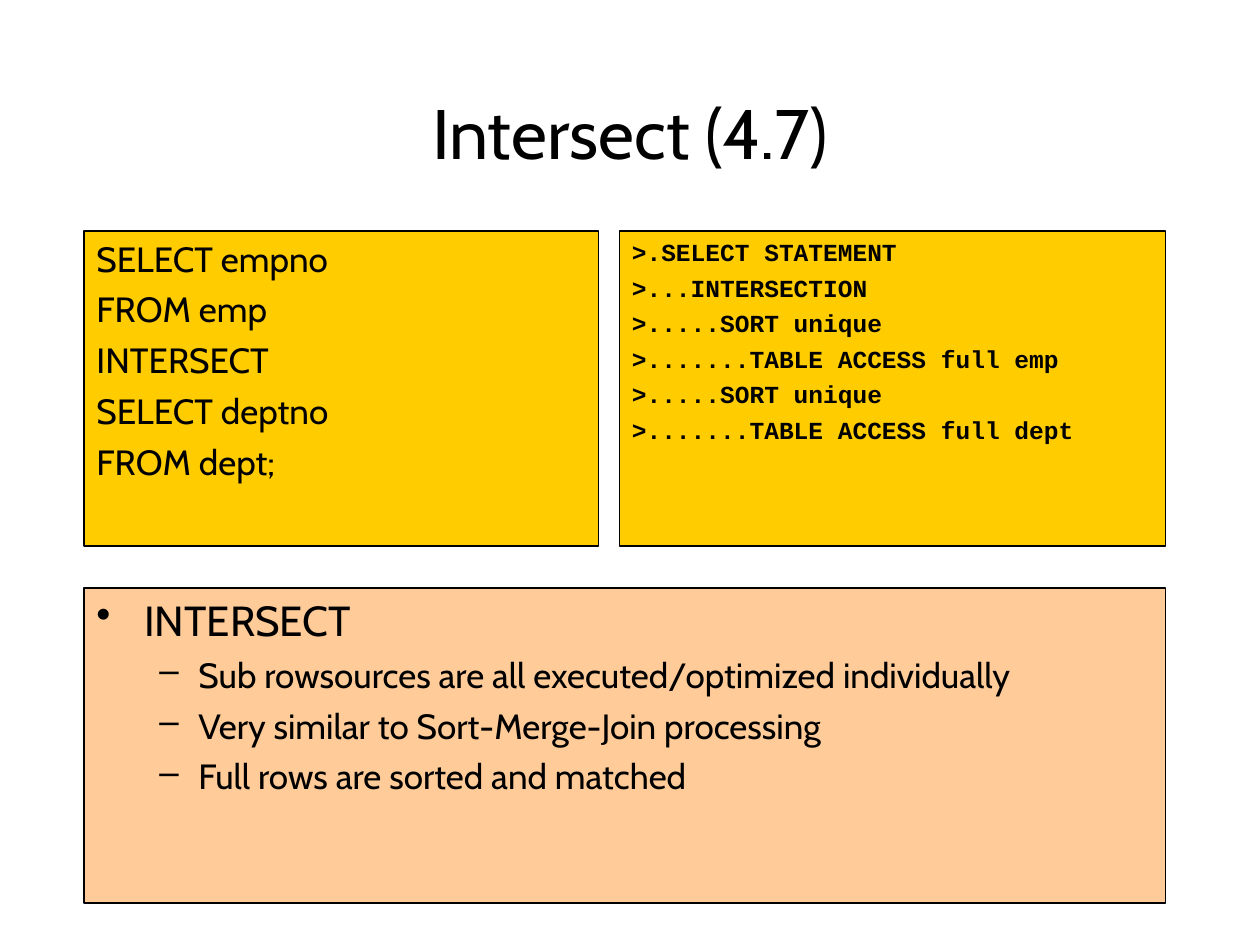
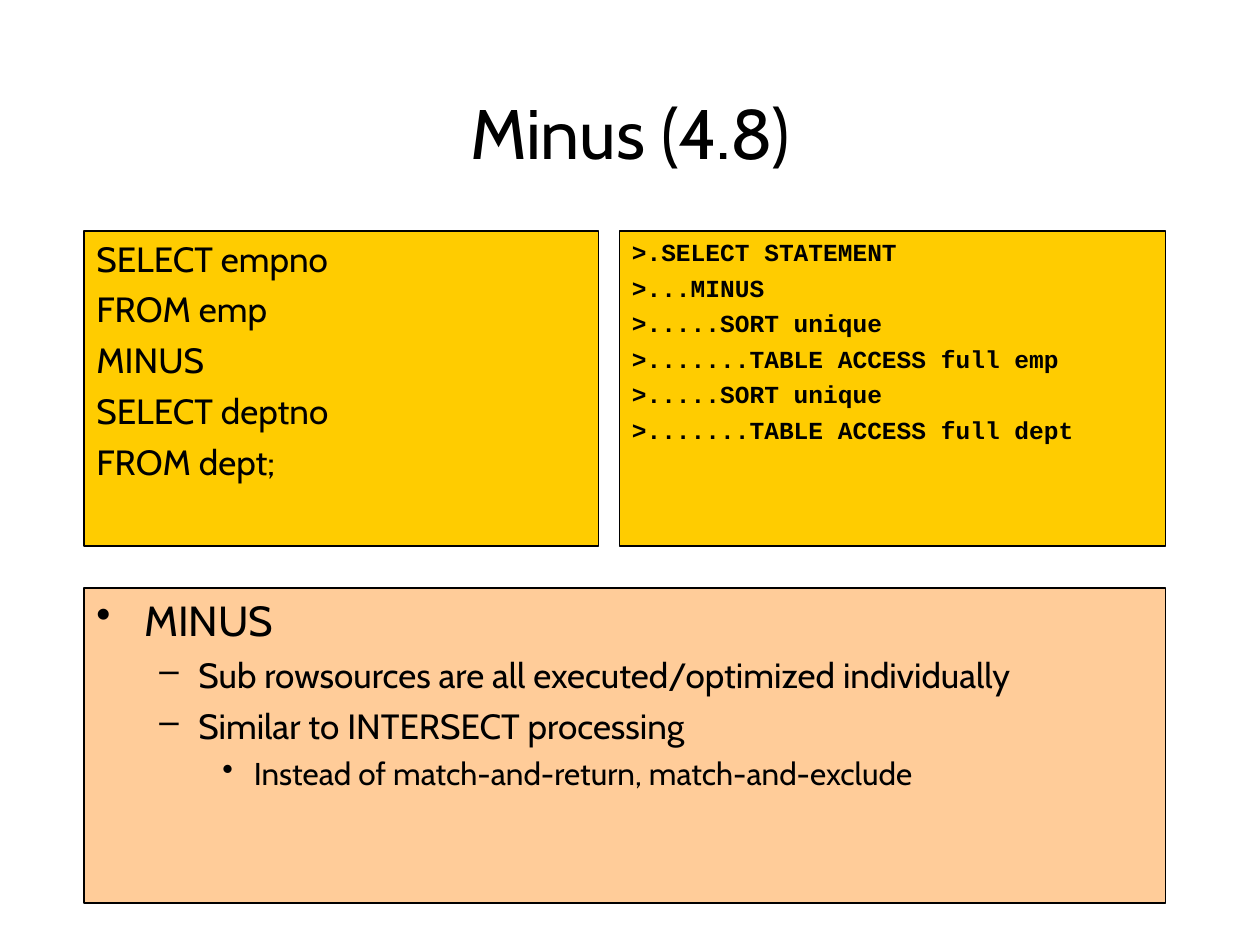
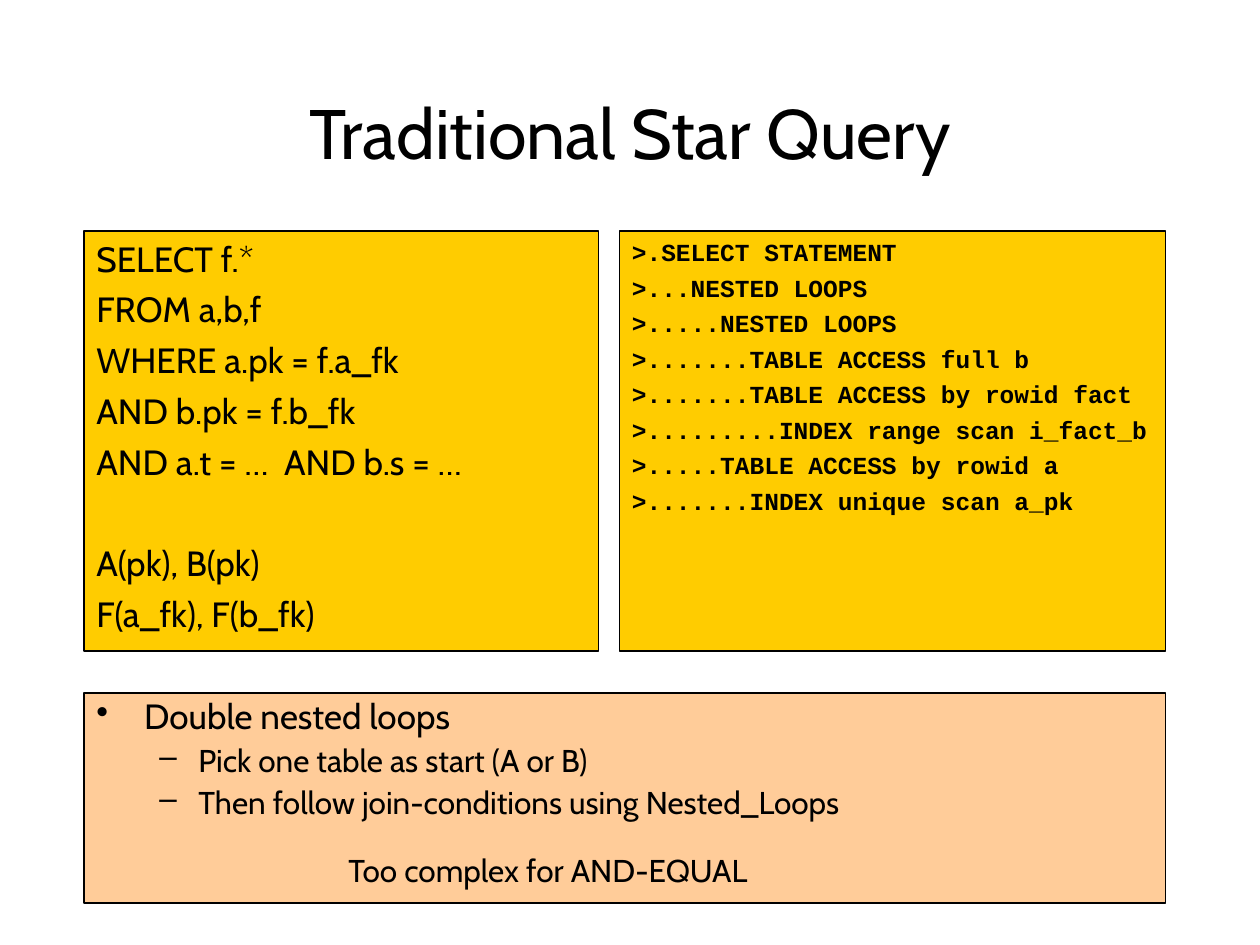
"""Build three slides on SQL row source plans, each with a query, its plan and notes."""
import pptx
import pptx.util
import pptx.dml.color
import pptx.enum.shapes
import pptx.enum.text
import pptx.oxml.ns
import lxml.etree

Pt = pptx.util.Pt
Inches = pptx.util.Inches
RGB = pptx.dml.color.RGBColor.from_string
Align = pptx.enum.text.PP_ALIGN
Anchor = pptx.enum.text.MSO_ANCHOR

SLIDES = [
    {
        "title": "Intersect (4.7)",
        "rows": 30,
        "query": ["SELECT empno", "FROM emp", "INTERSECT", "SELECT deptno", "FROM dept;"],
        "plan": [
            ">.SELECT STATEMENT",
            ">...INTERSECTION",
            ">.....SORT unique",
            ">.......TABLE ACCESS full emp",
            ">.....SORT unique",
            ">.......TABLE ACCESS full dept",
        ],
        "notes": [
            ("dot", "INTERSECT"),
            ("dash", "Sub rowsources are all executed/optimized individually"),
            ("dash", "Very similar to Sort-Merge-Join processing"),
            ("dash", "Full rows are sorted and matched"),
        ],
        "scale": "large",
    },
    {
        "title": "Minus (4.8)",
        "rows": 30,
        "query": ["SELECT empno", "FROM emp", "MINUS", "SELECT deptno", "FROM dept;"],
        "plan": [
            ">.SELECT STATEMENT",
            ">...MINUS",
            ">.....SORT unique",
            ">.......TABLE ACCESS full emp",
            ">.....SORT unique",
            ">.......TABLE ACCESS full dept",
        ],
        "notes": [
            ("dot", "MINUS"),
            ("dash", "Sub rowsources are all executed/optimized individually"),
            ("dash", "Similar to INTERSECT processing"),
            ("sub", "Instead of match-and-return, match-and-exclude"),
        ],
        "scale": "large",
    },
    {
        "title": "Traditional Star Query",
        "rows": 40,
        "query": [
            "SELECT f.*",
            "FROM a,b,f",
            "WHERE a.pk = f.a_fk",
            "AND b.pk = f.b_fk",
            "AND a.t = …  AND b.s = …",
            ("part", "A(pk), B(pk)"),
            "F(a_fk), F(b_fk)",
        ],
        "plan": [
            ">.SELECT STATEMENT",
            ">...NESTED LOOPS",
            ">.....NESTED LOOPS",
            ">.......TABLE ACCESS full b",
            ">.......TABLE ACCESS by rowid fact",
            ">.........INDEX range scan i_fact_b",
            ">.....TABLE ACCESS by rowid a",
            ">.......INDEX unique scan a_pk",
        ],
        "notes": [
            ("dot", "Double nested loops"),
            ("dash", "Pick one table as start (A or B)"),
            ("dash", "Then follow join-conditions using Nested_Loops"),
            ("aside", "Too complex for AND-EQUAL"),
        ],
        "scale": "small",
    },
]

THEME = {
    "ink": "000000",
    "code": "FFCC00",
    "note": "FFCC99",
    "title": {"name": "Cabin", "size": Pt(40), "bold": False},
    "query": {"name": "Cabin", "size": Pt(20), "bold": False},
    "plan": {"name": "Courier New", "size": Pt(14), "bold": True},
    "large": {"sizes": [24, 20, 18], "pitch": 1.0},
    "small": {"sizes": [20, 18, 18], "pitch": 0.9},
    "lead": 0.25,
}

# kind: level, left margin, first-line indent, bullet, own space before
KINDS = {
    "line": (0, 0.38, -0.38, None, None),
    "part": (0, 0.38, -0.38, None, 34),
    "dot": (0, 0.38, -0.38, "•", None),
    "dash": (1, 0.81, -0.31, "–", None),
    "sub": (2, 1.25, -0.25, "•", None),
    "aside": (1, 2.0, 0, None, 19.5),
}

UNIT = Inches(1) / 12
LEFT, TOP, WIDE, FOOT = 8, 22, 103, 86
QUERY, GAP, SPLIT = 49, 2, 4
HEAD = (9, 8, 102, 9)


def put(obj, vals):
    """Set each named attribute of an object."""
    for key, val in vals.items():
        setattr(obj, key, val)


def place(cells):
    """Turn grid cells into lengths."""
    return [round(cell * UNIT) for cell in cells]


def write(para, text, style):
    """Add one styled run to a paragraph."""
    run = para.add_run()
    run.text = text
    put(run.font, style)
    run.font.color.rgb = RGB(THEME["ink"])


def mark(para, margin, indent, sign):
    """Set the indents and the bullet of a paragraph."""
    props = para._p.get_or_add_pPr()
    props.set("marL", str(Inches(margin)))
    props.set("indent", str(Inches(indent)))
    name = "a:buChar" if sign else "a:buNone"
    node = lxml.etree.SubElement(props, pptx.oxml.ns.qn(name))
    if sign:
        node.set("char", sign)


def panel(slide, cells, fill, items, pick, pitch=1.0):
    """Draw a framed box and fill it with paragraphs."""
    box = slide.shapes.add_shape(pptx.enum.shapes.MSO_SHAPE.RECTANGLE, *place(cells))
    box.shadow.inherit = False
    box.fill.solid()
    box.fill.fore_color.rgb = RGB(fill)
    box.line.color.rgb = RGB(THEME["ink"])
    box.line.width = Pt(0.75)
    frame = box.text_frame
    put(frame, {"word_wrap": True, "vertical_anchor": Anchor.TOP})
    for pos, item in enumerate(items):
        kind, text = ("line", item) if isinstance(item, str) else item
        level, margin, indent, sign, lead = KINDS[kind]
        style = pick(level)
        para = frame.add_paragraph() if pos else frame.paragraphs[0]
        mark(para, margin, indent, sign)
        gap = lead or style["size"].pt * THEME["lead"]
        put(para, {
            "alignment": Align.LEFT,
            "level": level,
            "line_spacing": pitch,
            "space_before": Pt(gap if pos else 0),
        })
        write(para, text, style)


def head(slide, text):
    """Place and format the slide title."""
    title = slide.shapes.title
    put(title, dict(zip(("left", "top", "width", "height"), place(HEAD))))
    put(title.text_frame, {"word_wrap": True, "vertical_anchor": Anchor.MIDDLE})
    para = title.text_frame.paragraphs[0]
    para.alignment = Align.CENTER
    write(para, text, THEME["title"])


def build(deck, data):
    """Add one slide: title, notes, plan and query."""
    slide = deck.slides.add_slide(deck.slide_layouts[5])
    head(slide, data["title"])
    rows, scale = data["rows"], THEME[data["scale"]]
    base = TOP + rows + SPLIT
    start = LEFT + QUERY + GAP
    panel(slide, (LEFT, base, WIDE, FOOT - base), THEME["note"], data["notes"],
          lambda level: {**THEME["query"], "size": Pt(scale["sizes"][level])}, scale["pitch"])
    panel(slide, (start, TOP, LEFT + WIDE - start, rows), THEME["code"], data["plan"],
          lambda level: THEME["plan"])
    panel(slide, (LEFT, TOP, QUERY, rows), THEME["code"], data["query"],
          lambda level: THEME["query"])


def main():
    """Build and save the deck."""
    deck = pptx.Presentation()
    put(deck, {"slide_width": Inches(10), "slide_height": Inches(7.5)})
    for data in SLIDES:
        build(deck, data)
    deck.save("out.pptx")


if __name__ == "__main__":
    main()
